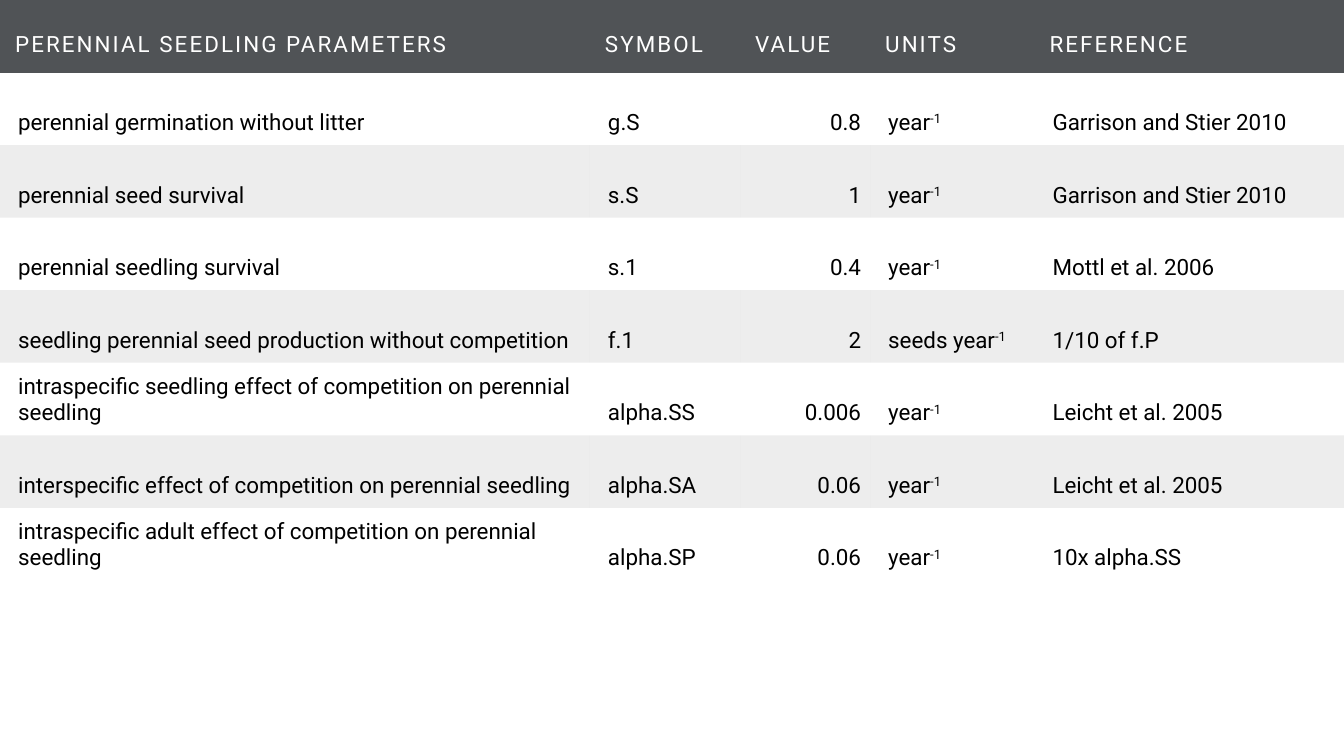
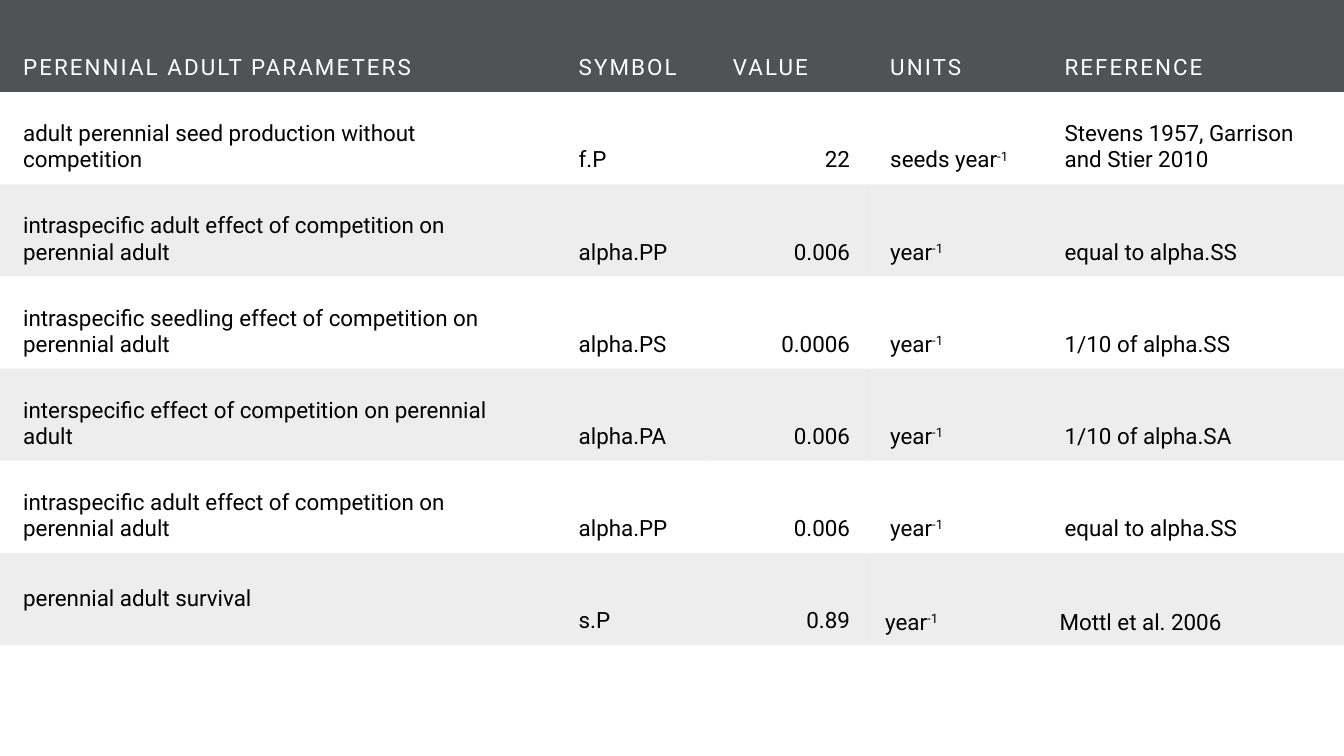
from lxml.etree import SubElement
from pptx import Presentation
from pptx.dml.color import RGBColor
from pptx.enum.text import MSO_ANCHOR, PP_ALIGN
from pptx.oxml.ns import qn
from pptx.util import Inches, Pt

# Shared look
SLATE = RGBColor(0x50, 0x53, 0x56)
WHITE = RGBColor(0xFF, 0xFF, 0xFF)
BLACK = RGBColor(0, 0, 0)
FONT = "Roboto"
SIZE = Pt(16)
PLAIN = "{2D5ABB26-0587-4C30-8999-92F81FD0307C}"  # no style, no grid
HEADS = ["SYMBOL", "VALUE", "UNITS", "REFERENCE"]
VALUE, UNITS = 2, 3  # column numbers
POWER = "-1"  # raised after each unit

# Cell insets: left, top, right, bottom
EVEN = (0.15, 0.15, 0.15, 0.15)
TIGHT = (0.18, 0.09, 0.09, 0.09)
WIDE = (0.23, 0.11, 0.17, 0.11)

# Rows: parameter, symbol, value, unit, reference
YOUNG = [
    ("perennial germination without litter", "g.S", "0.8", "year", "Garrison and Stier 2010"),
    ("perennial seed survival", "s.S", "1", "year", "Garrison and Stier 2010"),
    ("perennial seedling survival", "s.1", "0.4", "year", "Mottl et al. 2006"),
    ("seedling perennial seed production without competition", "f.1", "2", "seeds year",
     "1/10 of f.P"),
    ("intraspecific seedling effect of competition on perennial seedling", "alpha.SS", "0.006",
     "year", "Leicht et al. 2005"),
    ("interspecific effect of competition on perennial seedling", "alpha.SA", "0.06",
     "year", "Leicht et al. 2005"),
    ("intraspecific adult effect of competition on perennial seedling", "alpha.SP", "0.06",
     "year", "10x alpha.SS"),
]
ADULT = [
    ("adult perennial seed production without competition", "f.P", "22", "seeds year",
     "Stevens 1957, Garrison and Stier 2010"),
    ("intraspecific adult effect of competition on perennial adult", "alpha.PP", "0.006",
     "year", "equal to alpha.SS"),
    ("intraspecific seedling effect of competition on perennial adult", "alpha.PS", "0.0006",
     "year", "1/10 of alpha.SS"),
    ("interspecific effect of competition on perennial adult", "alpha.PA", "0.006",
     "year", "1/10 of alpha.SA"),
    ("intraspecific adult effect of competition on perennial adult", "alpha.PP", "0.006",
     "year", "equal to alpha.SS"),
    ("perennial adult survival", "s.P", "0.89", "year", "Mottl et al. 2006"),
]


def set_inset(cell, inset):
    left, top, right, bottom = map(Inches, inset)
    cell.margin_left, cell.margin_top = left, top
    cell.margin_right, cell.margin_bottom = right, bottom


def add_run(para, text, **attrs):
    """Add a run; attrs are raw text settings such as spc or baseline."""
    run = para.add_run()
    run.text = text
    for name, value in attrs.items():
        run.font._element.set(name, value)


def style(cell, inset, color):
    """Set inset, anchor and font; return the cell's paragraph."""
    set_inset(cell, inset)
    cell.vertical_anchor = MSO_ANCHOR.BOTTOM
    para = cell.text_frame.paragraphs[0]
    para.font.name, para.font.size = FONT, SIZE
    para.font.color.rgb = color
    return para


def shade(cell, color, alpha=None):
    cell.fill.solid()
    cell.fill.fore_color.rgb = color
    if alpha:
        tint = cell._tc.tcPr.find(qn("a:solidFill"))[0]
        SubElement(tint, qn("a:alpha")).set("val", str(alpha * 1000))


def fill_head(cell, text, inset):
    add_run(style(cell, inset, WHITE), text, spc="150")
    shade(cell, SLATE)


def fill_body(cell, text, inset, row, col):
    para = style(cell, inset, BLACK)
    add_run(para, text)
    if col == VALUE:
        para.alignment = PP_ALIGN.RIGHT
    if col == UNITS:
        add_run(para, POWER, baseline="30000")
    if row % 2 == 0:
        shade(cell, BLACK, 7)
    else:
        cell.fill.background()


def add_grid(deck, title, rows, widths, height, head, body):
    """Add a slide with one full-width table."""
    slide = deck.slides.add_slide(deck.slide_layouts[6])
    count = len(rows) + 1
    frame = slide.shapes.add_table(count, len(widths), 0, 0, deck.slide_width,
                                   Inches(height * count))
    table = frame.table
    table._tbl.tblPr.find(qn("a:tableStyleId")).text = PLAIN
    for col, width in zip(table.columns, widths):
        col.width = Inches(width)
    for line in table.rows:
        line.height = Inches(height)
    for col, text in enumerate([title] + HEADS):
        fill_head(table.cell(0, col), text, head)
    for row, texts in enumerate(rows, 1):
        for col, text in enumerate(texts):
            fill_body(table.cell(row, col), text, body, row, col)
    return table


def main():
    deck = Presentation()
    deck.slide_width, deck.slide_height = Inches(13.33), Inches(7.5)

    # Seedlings
    add_grid(deck, "PERENNIAL SEEDLING PARAMETERS", YOUNG,
             [5.85, 1.49, 1.29, 1.63, 3.07], 0.72, EVEN, TIGHT)

    # Adults; the last row is set apart
    table = add_grid(deck, "PERENNIAL ADULT PARAMETERS", ADULT,
                     [5.51, 1.53, 1.56, 1.73, 3], 6.4 / 7, WIDE, WIDE)
    last = len(ADULT)
    table.cell(last, 0).vertical_anchor = MSO_ANCHOR.MIDDLE
    for col in (UNITS, UNITS + 1):
        set_inset(table.cell(last, col), TIGHT)

    deck.save("out.pptx")


if __name__ == "__main__":
    main()
